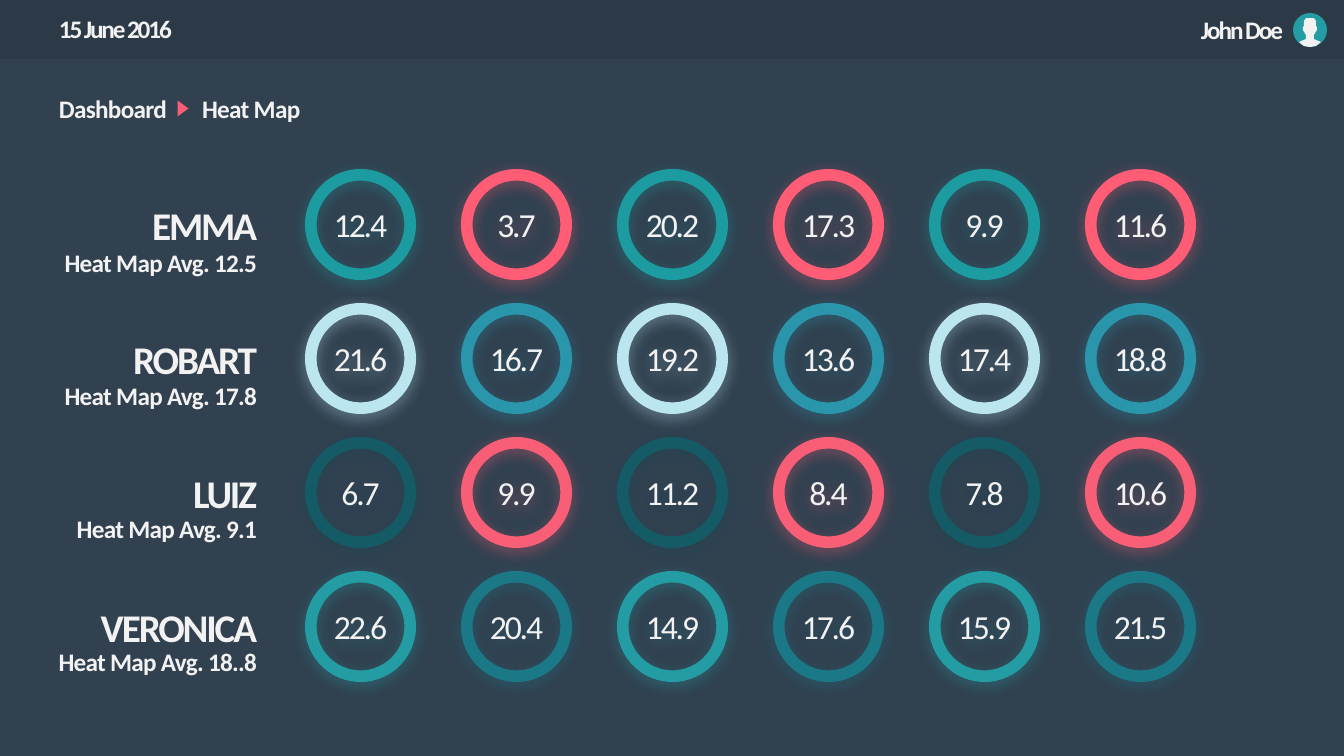
from pptx import Presentation
from pptx.dml.color import RGBColor as RGB
from pptx.enum.shapes import MSO_SHAPE as Kind
from pptx.enum.text import MSO_ANCHOR as Anchor, MSO_AUTO_SIZE as Fit, PP_ALIGN as Align
from pptx.oxml import parse_xml as to_xml
from pptx.oxml.ns import nsdecls, qn
from pptx.util import Pt

SCALE = 12192000 / 1344
FONT = "Calibri"
NIGHT = RGB(0x31, 0x41, 0x50)
SLATE = RGB(0x2C, 0x3A, 0x47)
WHITE = RGB(0xF2, 0xF2, 0xF2)
TEAL = RGB(0x1C, 0x9C, 0xA0)
PINK = RGB(0xFF, 0x5C, 0x75)
ICE = RGB(0xBB, 0xE6, 0xEF)
BLUE = RGB(0x29, 0x96, 0xAC)
PINE = RGB(0x14, 0x5B, 0x65)
DEEP = RGB(0x14, 0x4B, 0x56)
CORAL = RGB(0xF9, 0x5E, 0x77)
AQUA = RGB(0x23, 0x9C, 0xA3)
PETROL = RGB(0x1B, 0x79, 0x87)
GLOWS = {PINE: DEEP}

# name, average, alternating ring colours, values
PEOPLE = [
    ("EMMA", "12.5", (TEAL, PINK), "12.4 3.7 20.2 17.3 9.9 11.6"),
    ("ROBART", "17.8", (ICE, BLUE), "21.6 16.7 19.2 13.6 17.4 18.8"),
    ("LUIZ", "9.1", (PINE, CORAL), "6.7 9.9 11.2 8.4 7.8 10.6"),
    ("VERONICA", "18..8", (AQUA, PETROL), "22.6 20.4 14.9 17.6 15.9 21.5"),
]
# right half of the bust, as offsets from the middle of the badge top
BUST = [(4, 5), (6, 8), (6, 13), (7, 14), (7, 17), (4, 22),
        (4, 26), (11, 29), (6, 33), (0, 34)]


def px(*nums):
    """Turn pixels into EMU."""
    return [round(n * SCALE) for n in nums]


def write(shape, text, size, gap, align=Align.LEFT, bold=True, anchor=Anchor.TOP, wrap=True):
    """Put one styled paragraph into a shape; gap is the letter spacing."""
    frame = shape.text_frame
    frame.text = text
    frame.word_wrap = wrap
    frame.auto_size = Fit.NONE
    frame.vertical_anchor = anchor
    para = frame.paragraphs[0]
    para.alignment = align
    font = para.font
    font.name, font.size, font.bold = FONT, Pt(size), bold
    font.color.rgb = WHITE
    para._p.pPr.find(qn("a:defRPr")).set("spc", str(round(gap * 100)))


def label(slide, box, *args, **style):
    """Add a text box."""
    write(slide.shapes.add_textbox(*px(*box)), *args, **style)


def paint(shape, color):
    """Give a shape a plain fill with no line or shadow."""
    shape.shadow.inherit = False
    shape.fill.solid()
    shape.fill.fore_color.rgb = color
    shape.line.fill.background()


def solid(slide, kind, box, color):
    """Add a plain preset shape."""
    shape = slide.shapes.add_shape(kind, *px(*box))
    paint(shape, color)
    return shape


def glow(shape, color):
    """Cast a soft coloured shadow below a shape."""
    effects = shape._element.spPr.find(qn("a:effectLst"))
    effects.append(to_xml(
        f'<a:outerShdw {nsdecls("a")} blurRad="{Pt(11)}" dist="{Pt(3)}" dir="5400000" '
        f'algn="t" rotWithShape="0"><a:srgbClr val="{color}"><a:alpha val="40000"/>'
        '</a:srgbClr></a:outerShdw>'))


def crumbs(slide, box):
    """Draw the breadcrumb, whose last step is the slide title."""
    x, y, w, h = box
    label(slide, (x, y, 137, h), "Dashboard", 18, -0.5)
    mark = solid(slide, Kind.ISOSCELES_TRIANGLE, (x + 126, y + 15, 16, 11), CORAL)
    mark.rotation = 90
    title = slide.shapes.title
    title.left, title.top, title.width, title.height = px(x + 143, y, w - 143, h)
    write(title, "Heat Map", 18, -0.5)


def ring(slide, box, color, text):
    """Draw one glowing ring with its value."""
    donut = solid(slide, Kind.DONUT, box, color)
    donut.adjustments[0] = 0.104
    glow(donut, GLOWS.get(color, color))
    write(donut, text, 24, -1.5, Align.CENTER, False, Anchor.MIDDLE, wrap=False)


def heat(slide, box):
    """Draw the map: a name, an average and six rings for each person."""
    x, y, w, h = box
    side = 111
    left = x + 280
    across = (x + w - side - left) / 5
    down = (h - side) / 3
    for row, (name, mean, tones, nums) in enumerate(PEOPLE):
        top = y + row * down
        label(slide, (x, top + 27, 242, 57), name, 28, -1.5, Align.RIGHT)
        label(slide, (x, y + 73 + row * 133, 242, 40),
              f"Heat Map Avg. {mean}", 18, -0.5, Align.RIGHT)
        for col, num in enumerate(nums.split()):
            ring(slide, (left + col * across, top, side, side), tones[col % 2], num)


def badge(slide, box):
    """Draw the round user badge with a plain bust."""
    x, y, w, h = box
    solid(slide, Kind.OVAL, box, AQUA)
    mid = x + w // 2
    half = [(mid + dx, y + dy) for dx, dy in BUST]
    other = [(2 * mid - a, b) for a, b in reversed(half)]
    first, *rest = [px(*dot) for dot in half + other]
    path = slide.shapes.build_freeform(*first, scale=1.0)
    path.add_line_segments(rest, close=True)
    paint(path.convert_to_shape(), WHITE)


def header(slide, box):
    """Draw the top bar with the date and the user."""
    x, y, w, h = box
    solid(slide, Kind.RECTANGLE, box, SLATE)
    label(slide, (x + 49, y + 8, 209, 40), "15 June 2016", 18, -1.5)
    label(slide, (x + w - 255, y + 9, 204, 40), "John Doe", 18, -1.5, Align.RIGHT)
    badge(slide, (x + w - 51, y + 13, 34, 34))


def main():
    """Build and save the deck."""
    deck = Presentation()
    deck.slide_width, deck.slide_height = px(1344, 756)
    slide = deck.slides.add_slide(deck.slide_layouts[5])
    slide.background.fill.solid()
    slide.background.fill.fore_color.rgb = NIGHT
    crumbs(slide, (49, 88, 356, 40))
    heat(slide, (25, 169, 1171, 513))
    header(slide, (0, 0, 1344, 59))
    deck.save("out.pptx")


main()
